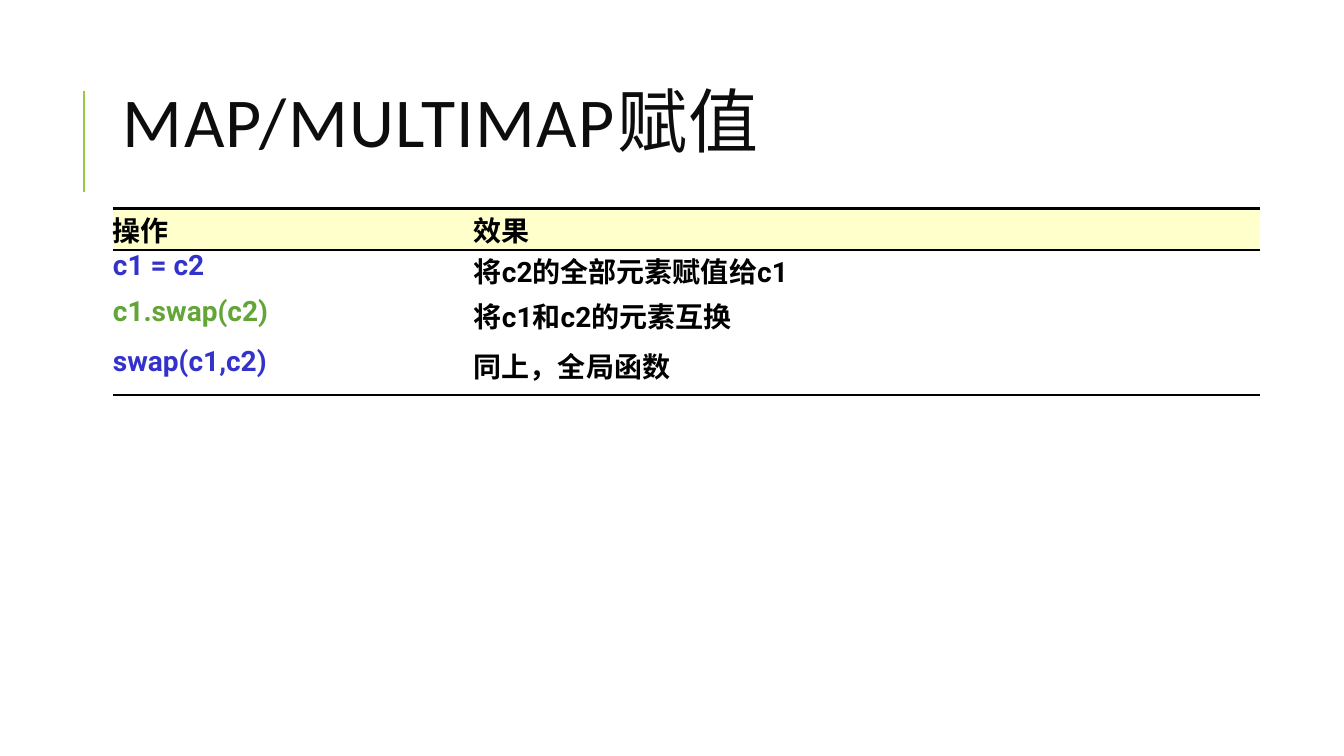
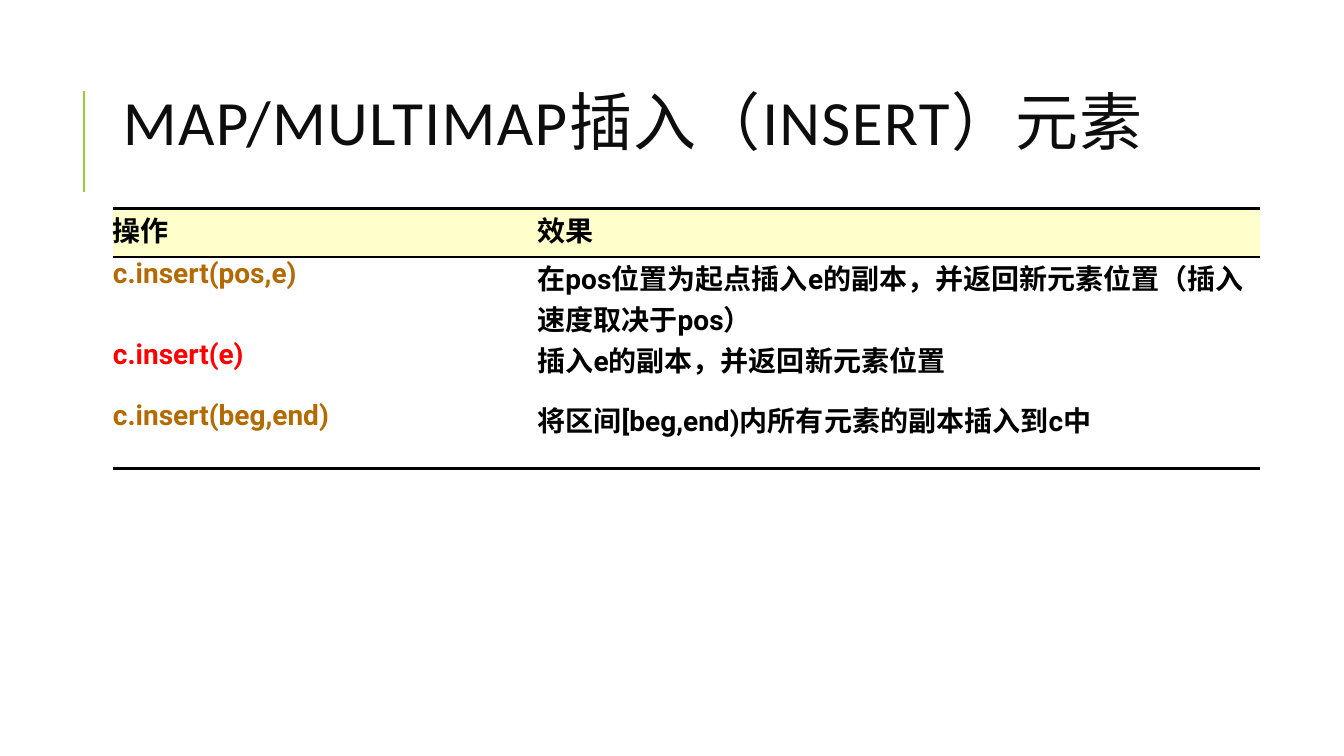
from dataclasses import dataclass

from lxml.etree import SubElement
from pptx import Presentation
from pptx.dml.color import RGBColor
from pptx.enum.shapes import MSO_CONNECTOR as Connector
from pptx.enum.text import MSO_ANCHOR as Anchor
from pptx.oxml.ns import qn
from pptx.slide import Slide
from pptx.table import _Cell as Cell
from pptx.text.text import TextFrame
from pptx.util import Inches, Length, Pt

WIDTH, HEIGHT = 13.33, 7.5
COLORS = {
    "accent": "99CB38",
    "title": "0D0D0D",
    "text": "000000",
    "header": "FFFFCC",
    "blue": "3333CC",
    "green": "63A537",
    "brown": "B26B02",
    "red": "FF0000",
}
CONTENT_LEFT = 8.4
TITLE_TOP, TITLE_WIDTH, TITLE_HEIGHT = 8.53, 79.74, 16.67
RULE_LEFT, RULE_TOP, RULE_BOTTOM = 6.23, 12, 25.4
TABLE_TOP, TABLE_WIDTH = 27.6, 85.37
OUTER_LINE, HEADER_LINE = 2.25, 1.5


@dataclass(frozen=True)
class Operation:
    code: str
    effect: str
    color: str
    height: float


@dataclass(frozen=True)
class Topic:
    title: str
    title_size: float
    code_share: float
    header_height: float
    operations: tuple[Operation, ...]


TOPICS = (
    Topic("MAP/MULTIMAP赋值", 50, 31.46, 5.45, (
        Operation("c1 = c2", "将c2的全部元素赋值给c1", "blue", 6),
        Operation("c1.swap(c2)", "将c1和c2的元素互换", "green", 6.6),
        Operation("swap(c1,c2)", "同上，全局函数", "blue", 6.6),
    )),
    Topic("MAP/MULTIMAP插入（INSERT）元素", 45, 37, 6.4, (
        Operation("c.insert(pos,e)",
                  "在pos位置为起点插入e的副本，并返回新元素位置（插入速度取决于pos）",
                  "brown", 10.8),
        Operation("c.insert(e)", "插入e的副本，并返回新元素位置", "red", 8),
        Operation("c.insert(beg,end)", "将区间[beg,end)内所有元素的副本插入到c中",
                  "brown", 9.2),
    )),
)


def across(percent: float) -> Length:
    return Inches(WIDTH * percent / 100)


def down(percent: float) -> Length:
    return Inches(HEIGHT * percent / 100)


def rgb(name: str) -> RGBColor:
    return RGBColor.from_string(COLORS[name])


def write(frame: TextFrame, text: str, *, size: float, font: str, color: str,
          bold: bool = False, line_spacing: float = 1, tracking: float = 0) -> None:
    para = frame.paragraphs[0]
    para.line_spacing = line_spacing
    span = para.add_run()
    span.text = text
    span.font.size = Pt(size)
    span.font.name = font
    span.font.bold = bold
    span.font.color.rgb = rgb(color)
    if tracking:
        span.font._element.set("spc", str(round(tracking * 100)))


def set_borders(cell: Cell, *, top: float, bottom: float) -> None:
    properties = cell._tc.get_or_add_tcPr()
    for side, width in (("L", 0), ("R", 0), ("T", top), ("B", bottom)):
        line = SubElement(properties, qn(f"a:ln{side}"), w=str(Pt(width)))
        if width:
            fill = SubElement(line, qn("a:solidFill"))
            SubElement(fill, qn("a:srgbClr"), val=COLORS["text"])
        else:
            SubElement(line, qn("a:noFill"))


def add_title(page: Slide, topic: Topic) -> None:
    rule = page.shapes.add_connector(
        Connector.STRAIGHT, across(RULE_LEFT), down(RULE_BOTTOM),
        across(RULE_LEFT), down(RULE_TOP))
    rule.line.color.rgb = rgb("accent")
    rule.line.width = Pt(1.5)
    SubElement(rule._element.spPr, qn("a:effectLst"))

    box = page.shapes.add_textbox(across(CONTENT_LEFT), down(TITLE_TOP),
                                  across(TITLE_WIDTH), down(TITLE_HEIGHT))
    frame = box.text_frame
    frame.word_wrap = True
    frame.vertical_anchor = Anchor.MIDDLE
    write(frame, topic.title, size=topic.title_size, font="Calibri",
          color="title", line_spacing=0.8, tracking=1)


def add_operations(page: Slide, topic: Topic) -> None:
    rows = (Operation("操作", "效果", "text", topic.header_height), *topic.operations)
    last = len(rows) - 1
    table = page.shapes.add_table(
        len(rows), 2, across(CONTENT_LEFT), down(TABLE_TOP),
        across(TABLE_WIDTH), down(sum(row.height for row in rows))).table
    table.first_row = table.horz_banding = False
    for column, share in zip(table.columns, (topic.code_share, 100 - topic.code_share)):
        column.width = across(TABLE_WIDTH * share / 100)

    edges = (OUTER_LINE, HEADER_LINE, *[0] * (last - 1), OUTER_LINE)
    for index, row in enumerate(rows):
        table.rows[index].height = down(row.height)
        for position, (text, color) in enumerate(((row.code, row.color), (row.effect, "text"))):
            cell = table.cell(index, position)
            cell.margin_left = cell.margin_right = cell.margin_top = cell.margin_bottom = 0
            set_borders(cell, top=edges[index], bottom=edges[index + 1])
            if index == 0:
                cell.fill.solid()
                cell.fill.fore_color.rgb = rgb("header")
            else:
                cell.fill.background()
            write(cell.text_frame, text, size=20, font="Roboto", color=color, bold=True)


def main() -> None:
    deck = Presentation()
    deck.slide_width, deck.slide_height = Inches(WIDTH), Inches(HEIGHT)
    blank = deck.slide_layouts[6]
    for topic in TOPICS:
        page = deck.slides.add_slide(blank)
        add_title(page, topic)
        add_operations(page, topic)
    deck.save("out.pptx")


if __name__ == "__main__":
    main()
